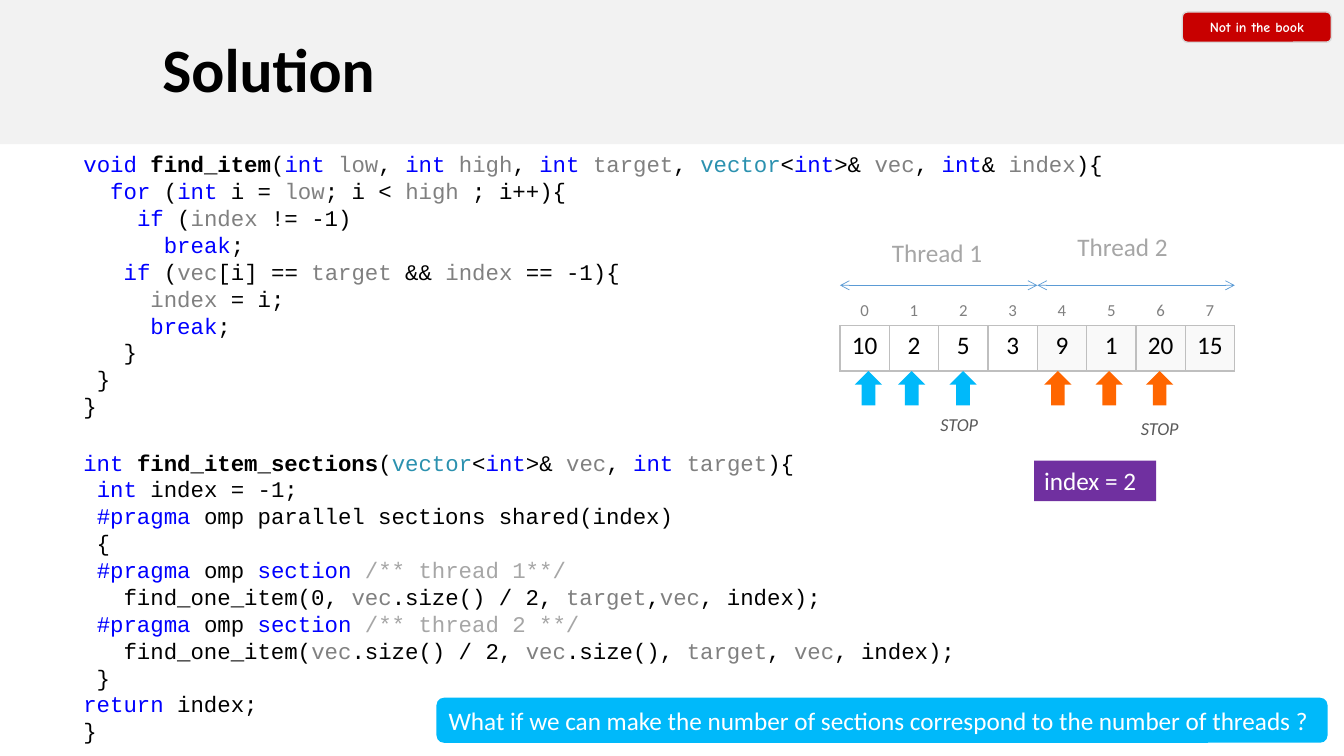
from itertools import groupby

from lxml import etree
from pptx import Presentation
from pptx import util as u
from pptx.dml import color
from pptx.enum import shapes, text
from pptx.oxml import ns

KEYWORDS = "void int for if break return section #pragma".split()
ARGUMENTS = "low high target vec".split()
COLOURS = {
    **dict.fromkeys(KEYWORDS, "0000FF"),
    **dict.fromkeys(ARGUMENTS, "808080"),
    "vector": "2B91AF",
}
FUNCTIONS = ("find_item", "find_item_sections")

FIND_ITEM = """void find_item(int low, int high, int target, vector<int>& vec, int& index){
  for (int i = low; i < high ; i++){
    if (index != -1)
      break;
   if (vec[i] == target && index == -1){
     index = i;
     break;
   }
 }
}"""

FIND_ITEM_SECTIONS = """int find_item_sections(vector<int>& vec, int target){
 int index = -1;
 #pragma omp parallel sections shared(index)
 {
 #pragma omp section /** thread 1**/
   find_one_item(0, vec.size() / 2, target,vec, index);
 #pragma omp section /** thread 2 **/
   find_one_item(vec.size() / 2, vec.size(), target, vec, index);
 }
return index;
}"""

VALUES = (10, 2, 5, 3, 9, 1, 20, 15)
TABLE_LEFT, TABLE_TOP, CELL_WIDTH = 600, 211, 35.25
ROW_HEIGHTS = (21.6, 32.4)
BLUE, ORANGE, PURPLE = "00B9FA", "FF6600", "7030A0"


def rgb(value):
    return color.RGBColor.from_string(value)


def apply(target, values):
    for name, value in values.items():
        setattr(target, name, value)


def fill_with(target, colour):
    target.fill.solid()
    target.fill.fore_color.rgb = rgb(colour)


def add_run(paragraph, words, size, colour, name="Calibri", **style):
    run = paragraph.add_run()
    run.text = words
    apply(run.font, {"size": u.Pt(size), "name": name, **style})
    run.font.color.rgb = rgb(colour)


def add_text(slide, box, words, size, colour, **style):
    shape = slide.shapes.add_textbox(*map(u.Pt, box))
    shape.text_frame.word_wrap = False
    add_run(shape.text_frame.paragraphs[0], words, size, colour, **style)


def add_block(slide, kind, box, colour, outline=None):
    shape = slide.shapes.add_shape(kind, *map(u.Pt, box))
    shape.shadow.inherit = False
    fill_with(shape, colour)
    if outline:
        shape.line.color.rgb = rgb(outline)
        shape.line.width = u.Pt(1)
    else:
        shape.line.fill.background()
    return shape


def add_label(slide, kind, box, colour, words, size=18, align="LEFT", outline=None, **style):
    shape = add_block(slide, kind, box, colour, outline)
    shape.text_frame.word_wrap = False
    paragraph = shape.text_frame.paragraphs[0]
    paragraph.alignment = text.PP_ALIGN[align]
    add_run(paragraph, words, size, "FFFFFF", **style)


def add_title(slide, words):
    title = slide.shapes.title
    apply(title, {"left": 0, "top": 0, "width": u.Pt(960), "height": u.Pt(103)})
    fill_with(title, "F2F2F2")
    apply(title.text_frame, {
        "margin_left": u.Pt(116),
        "vertical_anchor": text.MSO_ANCHOR.MIDDLE,
        "auto_size": text.MSO_AUTO_SIZE.NONE,
    })
    paragraph = title.text_frame.paragraphs[0]
    apply(paragraph, {"alignment": text.PP_ALIGN.LEFT, "line_spacing": 0.9})
    add_run(paragraph, words, 44, "000000", bold=True)


def is_word_part(character):
    return character.isalnum() or character in "_#"


def add_code(slide, box, code, colours):
    frame = slide.shapes.add_textbox(*map(u.Pt, box)).text_frame
    apply(frame, {"word_wrap": True, "margin_top": u.Pt(4.5)})
    for number, line in enumerate(code.split("\n")):
        paragraph = frame.add_paragraph() if number else frame.paragraphs[0]
        paragraph.line_spacing = u.Pt(19.2)
        statement, mark, comment = line.partition("/**")
        for _, characters in groupby(statement, is_word_part):
            word = "".join(characters)
            add_run(paragraph, word, 16, colours.get(word, "000000"),
                    "Courier New", bold=word in FUNCTIONS)
        if mark:
            add_run(paragraph, mark + comment, 16, "A6A6A6", "Courier New")


def set_border(cell, sides):
    properties = cell._tc.get_or_add_tcPr()
    for place, side in enumerate(sides):
        line = etree.Element(ns.qn(f"a:ln{side}"), w=str(u.Pt(1)))
        solid = etree.SubElement(line, ns.qn("a:solidFill"))
        etree.SubElement(solid, ns.qn("a:srgbClr"), val="BFBFBF")
        properties.insert(place, line)


def add_cell(cell, words, size, colour, background, anchor, sides):
    fill_with(cell, background)
    apply(cell, {
        "margin_left": u.Pt(3), "margin_right": u.Pt(3),
        "margin_top": u.Pt(3.6), "margin_bottom": u.Pt(3),
        "vertical_anchor": anchor,
    })
    paragraph = cell.text_frame.paragraphs[0]
    paragraph.alignment = text.PP_ALIGN.CENTER
    add_run(paragraph, words, size, colour)
    set_border(cell, sides)


def add_vector(slide):
    count = len(VALUES)
    box = (TABLE_LEFT, TABLE_TOP, CELL_WIDTH * count, sum(ROW_HEIGHTS))
    table = slide.shapes.add_table(2, count, *map(u.Pt, box)).table
    apply(table, {"first_row": False, "horz_banding": False})
    for row, height in zip(table.rows, ROW_HEIGHTS):
        row.height = u.Pt(height)
    for index, value in enumerate(VALUES):
        table.columns[index].width = u.Pt(CELL_WIDTH)
        shade = "FFFFFF" if index < count / 2 else "F9F9F9"
        add_cell(table.cell(0, index), str(index), 12, "808080", "FFFFFF",
                 text.MSO_ANCHOR.BOTTOM, "B")
        add_cell(table.cell(1, index), str(value), 18, "000000", shade,
                 text.MSO_ANCHOR.TOP, "LRTB")


def add_span(slide, left, right, top):
    ends = map(u.Pt, (left, top, right, top))
    connector = slide.shapes.add_connector(shapes.MSO_CONNECTOR.STRAIGHT, *ends)
    connector.line.color.rgb = rgb("5B9BD5")
    connector.line.width = u.Pt(0.5)
    line = connector.line._get_or_add_ln()
    for end in ("headEnd", "tailEnd"):
        etree.SubElement(line, ns.qn(f"a:{end}"), type="arrow")
    etree.SubElement(connector._element.spPr, ns.qn("a:effectLst"))


def main():
    presentation = Presentation()
    apply(presentation, {"slide_width": u.Pt(960), "slide_height": u.Pt(540)})
    slide = presentation.slides.add_slide(presentation.slide_layouts[5])
    rectangle = shapes.MSO_SHAPE.RECTANGLE
    rounded = shapes.MSO_SHAPE.ROUNDED_RECTANGLE

    add_title(slide, "Solution")
    add_label(slide, rounded, (844.5, 8.6, 106.5, 21.6), "C80000", "Not in the book",
              10, "CENTER", "D9D9D9", name="Comic Neue", bold=True)
    add_code(slide, (52.5, 316, 703, 220), FIND_ITEM_SECTIONS, COLOURS)
    add_code(slide, (52.5, 103, 829, 201), FIND_ITEM, {**COLOURS, "index": "808080"})

    add_vector(slide)
    half = CELL_WIDTH * len(VALUES) / 2
    for left in (TABLE_LEFT, TABLE_LEFT + half):
        add_span(slide, left, left + half, 203.8)
    add_text(slide, (630, 166.3, 80, 29), "Thread 1", 18, "A6A6A6")
    add_text(slide, (762.5, 162, 80, 29), "Thread 2", 18, "A6A6A6")

    for colour, lefts in ((BLUE, (610.6, 641.5, 678.2)), (ORANGE, (745.9, 782.6, 818.6))):
        for left in lefts:
            add_block(slide, shapes.MSO_SHAPE.UP_ARROW, (left, 265, 19.5, 24.5), colour)
    for left, top in ((664.6, 291.6), (807.8, 294.5)):
        add_text(slide, (left, top, 41.8, 23), "STOP", 13, "595959", italic=True)

    add_label(slide, rectangle, (738.7, 329, 87.1, 29), PURPLE, "index = 2")
    add_label(slide, rounded, (311.8, 498.4, 636.5, 32.2), BLUE,
              "What if we can make the number of sections correspond to the number of threads ?")
    presentation.save("out.pptx")


if __name__ == "__main__":
    main()
